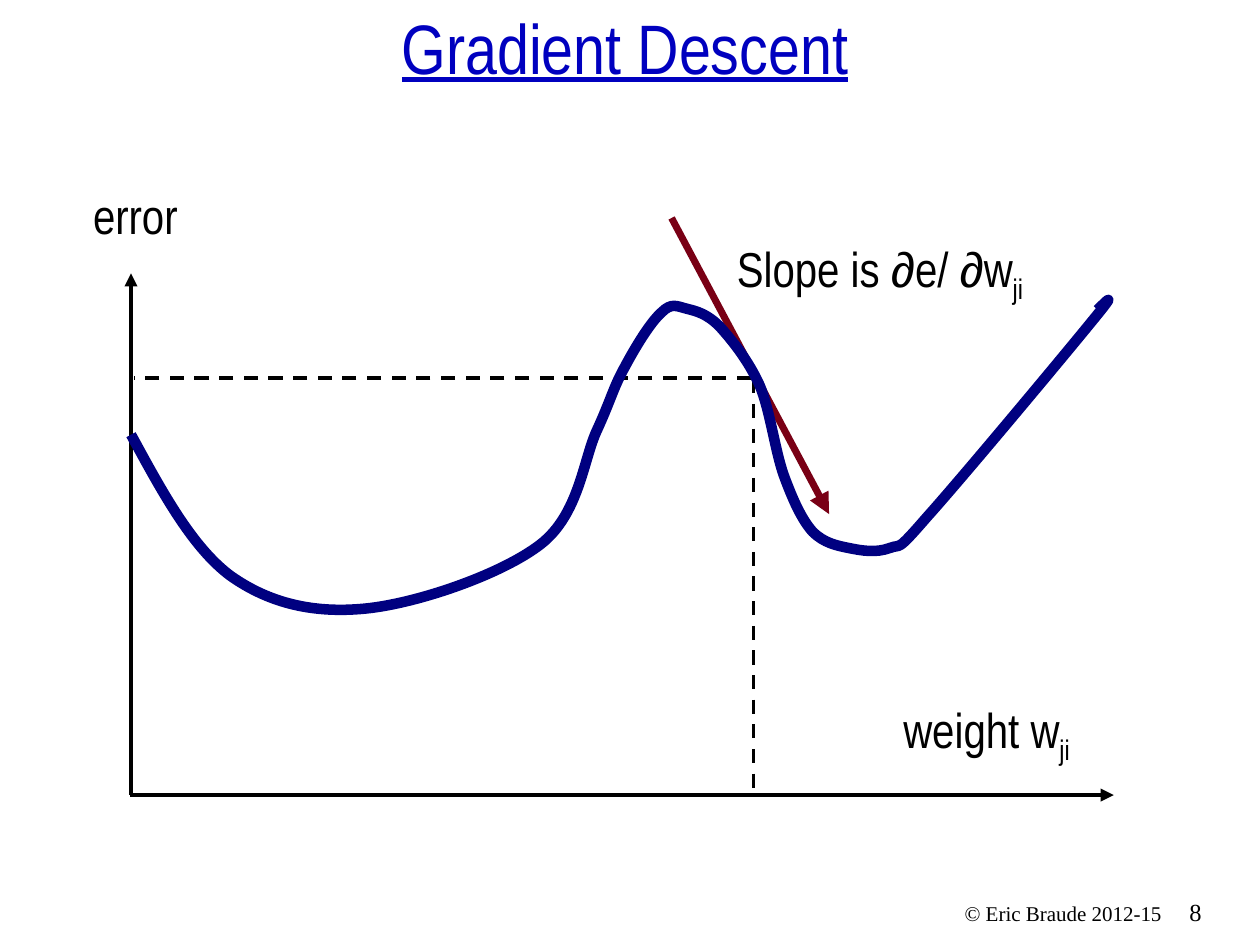
"""Draw the gradient descent slide: an error curve over one weight."""
import dataclasses

import lxml.etree
import pptx
import pptx.dml.color
import pptx.enum.dml
import pptx.enum.text
import pptx.oxml.ns
import pptx.util

Inches = pptx.util.Inches
Align = pptx.enum.text.PP_ALIGN
Anchor = pptx.enum.text.MSO_ANCHOR
qn = pptx.oxml.ns.qn


@dataclasses.dataclass(frozen=True)
class Theme:
    sans: str = "Arial Narrow"
    serif: str = "Times New Roman"
    ink: str = "000000"
    head: str = "0000BF"
    curve: str = "000080"
    slope: str = "790015"
    title: int = 40
    label: int = 28
    page: int = 14
    note: int = 12


class Deck:
    def __init__(self, theme):
        self.theme = theme
        self.file = pptx.Presentation()
        self.file.slide_width, self.file.slide_height = Inches(10), Inches(7.5)
        self.slide = self.file.slides.add_slide(self.file.slide_layouts[6])

    def text(self, box, words, size, sub="", face=None, color=None,
             align=Align.LEFT, anchor=Anchor.TOP, under=None):
        shape = self.slide.shapes.add_textbox(*map(Inches, box))
        frame = shape.text_frame
        frame.word_wrap = True
        frame.vertical_anchor = anchor
        para = frame.paragraphs[0]
        para.alignment = align
        font = para.font
        font.name = face or self.theme.sans
        font.size = pptx.util.Pt(size)
        font.color.rgb = pptx.dml.color.RGBColor.from_string(color or self.theme.ink)
        run = para.add_run()
        run.text = words
        run.font.underline = under
        if sub:
            low = para.add_run()
            low.text = sub
            low.font._element.set("baseline", "-25000")

    def pen(self, line, color, width):
        line.color.rgb = pptx.dml.color.RGBColor.from_string(color)
        line.width = pptx.util.Pt(width)

    def line(self, start, end, width, color=None, dash=False, arrow=False):
        link = self.slide.shapes.add_connector(
            pptx.enum.dml.MSO_LINE.SOLID, *map(Inches, start + end))
        self.pen(link.line, color or self.theme.ink, width)
        if dash:
            link.line.dash_style = pptx.enum.dml.MSO_LINE.DASH
        props = link._element.spPr
        if arrow:
            lxml.etree.SubElement(props.find(qn("a:ln")), qn("a:tailEnd"), type="triangle")
        lxml.etree.SubElement(props, qn("a:effectLst"))

    def curve(self, points, color, width):
        first, *rest = [(Inches(x), Inches(y)) for x, y in points]
        build = self.slide.shapes.build_freeform(*first)
        build.add_line_segments(rest, close=False)
        shape = build.convert_to_shape()
        shape.shadow.inherit = False
        shape.fill.background()
        self.pen(shape.line, color, width)
        steps = list(shape._element.iter(qn("a:lnTo")))
        for i in range(0, len(steps), 3):
            bend = lxml.etree.SubElement(steps[i].getparent(), qn("a:cubicBezTo"))
            for step in steps[i:i + 3]:
                bend.append(step[0])
                step.getparent().remove(step)


CURVE = [
    (1.04, 3.45),
    (1.28, 3.89), (1.52, 4.34), (1.83, 4.57),
    (2.14, 4.79), (2.49, 4.87), (2.9, 4.83),
    (3.31, 4.79), (3.98, 4.56), (4.29, 4.32),
    (4.6, 4.08), (4.63, 3.64), (4.74, 3.41),
    (4.85, 3.17), (4.87, 3.07), (4.96, 2.91),
    (5.04, 2.76), (5.16, 2.56), (5.25, 2.48),
    (5.33, 2.4), (5.37, 2.43), (5.45, 2.45),
    (5.53, 2.47), (5.61, 2.49), (5.71, 2.59),
    (5.81, 2.7), (5.94, 2.86), (6.03, 3.06),
    (6.11, 3.25), (6.15, 3.57), (6.22, 3.77),
    (6.29, 3.96), (6.36, 4.12), (6.45, 4.22),
    (6.54, 4.31), (6.64, 4.33), (6.74, 4.35),
    (6.84, 4.37), (6.95, 4.39), (7.06, 4.35),
    (7.16, 4.31), (7.1, 4.4), (7.36, 4.1),
    (7.63, 3.8), (8.43, 2.84), (8.65, 2.57),
    (8.88, 2.29), (8.79, 2.38), (8.71, 2.46),
]


def main():
    theme = Theme()
    deck = Deck(theme)
    left, base = 1.04, 6.31
    deck.text((9.34, 7.07, 0.58, 0.33), "8", theme.page, face=theme.serif)
    deck.text((6.65, 7.1, 2.67, 0.3), "© Eric Braude 2012-15", theme.note,
              face=theme.serif, align=Align.RIGHT)
    deck.text((0, 0.21, 9.92, 0.54), "Gradient Descent", theme.title, color=theme.head,
              align=Align.CENTER, anchor=Anchor.BOTTOM, under=True)
    deck.line((1.03, base), (8.84, base), 2.5, arrow=True)
    deck.line((left, base), (left, 2.17), 2.5, arrow=True)
    deck.text((0.64, 1.42, 1.66, 0.57), "error", theme.label)
    deck.text((6.75, 5.5, 2.16, 0.57), "weight w", theme.label, sub="ji",
              align=Align.CENTER)
    deck.line((5.98, 3.01), (5.98, base), 2, dash=True)
    deck.line((5.33, 1.73), (6.58, 4.08), 4, color=theme.slope, arrow=True)
    deck.line((5.96, 3), (1.06, 3), 2, dash=True)
    deck.text((5.75, 1.84, 2.67, 0.57), "Slope is ∂e/ ∂w", theme.label, sub="ji")
    deck.curve(CURVE, theme.curve, 6)
    deck.file.save("out.pptx")


if __name__ == "__main__":
    main()
